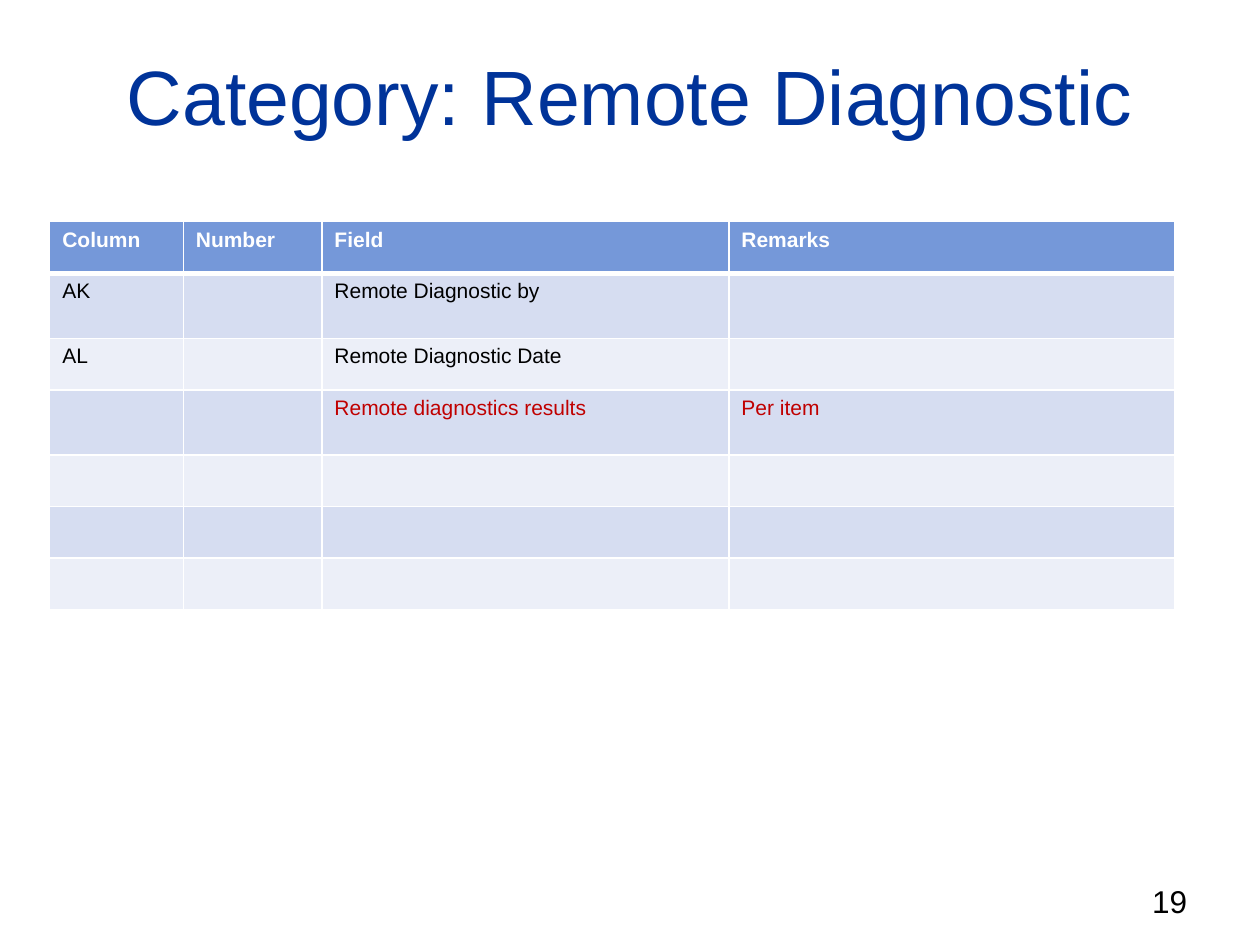
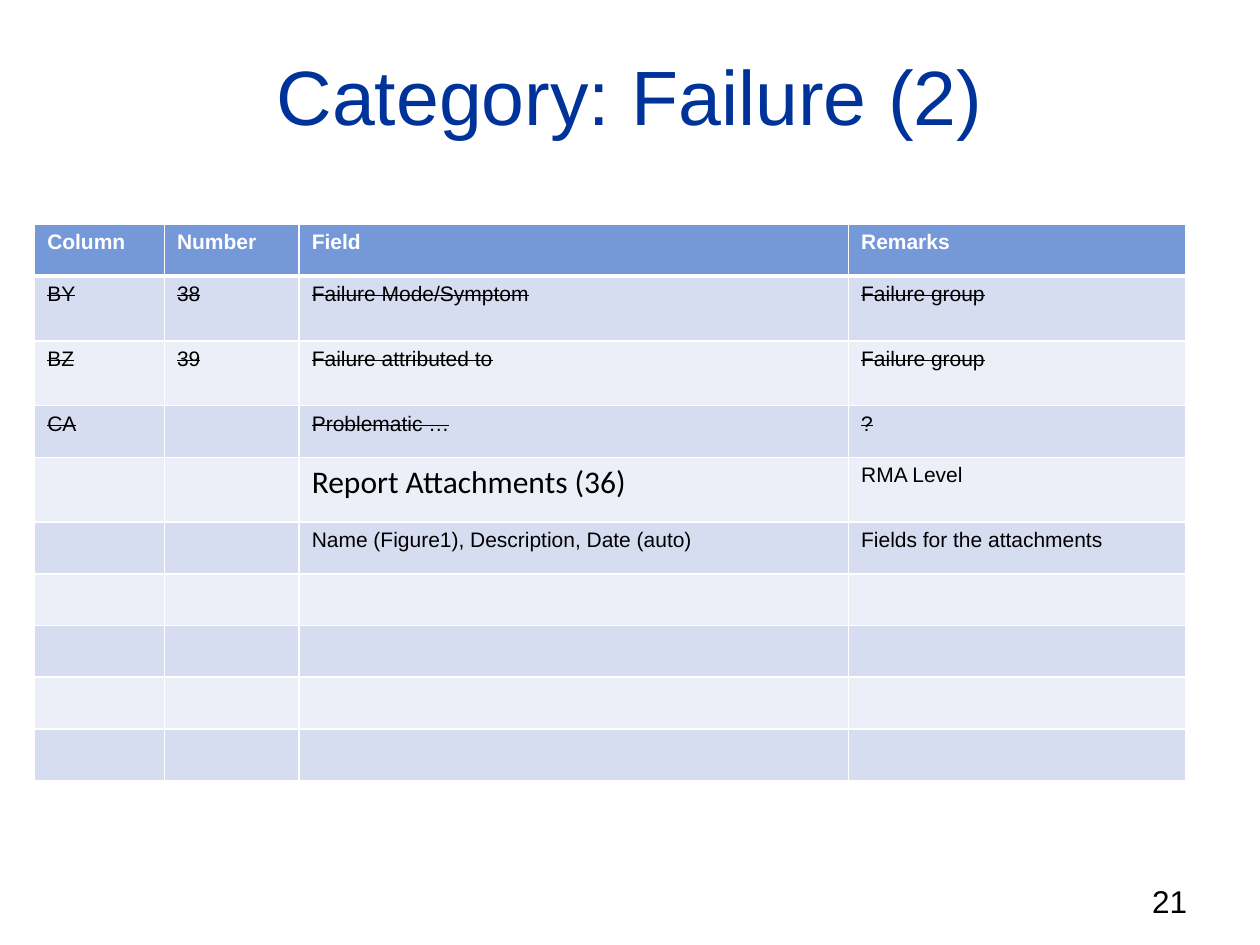
import pptx
import pptx.dml.color
import pptx.enum.text
import pptx.oxml.ns
import pptx.util
import lxml.etree

COLORS = {
    "title": "003399", "text": "000000", "alert": "C00000", "white": "FFFFFF",
    "header": "7598D9", "odd": "D6DDF1", "even": "ECEFF8",
}
FORMATS = {
    "title": {"size": 44, "color": "title"},
    "page": {"size": 18},
    "header": {"bold": True, "color": "white"},
    "body": {},
    "alert": {"color": "alert"},
    "dropped": {"strike": True},
    "heading": {"size": 18, "name": "Calibri"},
}
BASE_FORMAT = {"name": "Arial", "size": 12, "bold": False, "color": "text"}
HEADINGS = ["Column", "Number", "Field", "Remarks"]
EMPTY = [""] * len(HEADINGS)
SHORT, TALL = 4.1, 5.15
ALIGN = pptx.enum.text.PP_ALIGN
ANCHOR = pptx.enum.text.MSO_ANCHOR


def rgb(color):
    """Return the named colour as an RGB value."""
    return pptx.dml.color.RGBColor.from_string(COLORS[color])


class CategoryDeck:
    """Holds the shared style and the current slide on a 100 by 75 grid."""

    def __init__(self):
        """Start an empty 10 by 7.5 inch deck."""
        self.deck = pptx.Presentation()
        self.deck.slide_width = pptx.util.Inches(10)
        self.deck.slide_height = pptx.util.Inches(7.5)
        self.unit = self.deck.slide_width / 100
        self.slide = None

    def grid(self, *lengths):
        """Turn grid columns or rows into slide lengths."""
        return [pptx.util.Emu(round(length * self.unit)) for length in lengths]

    def put_text(self, paragraph, text, style):
        """Put text in a paragraph with one of the named formats."""
        values = BASE_FORMAT | FORMATS[style]
        font = paragraph.font
        if text:
            run = paragraph.add_run()
            run.text = text
            font = run.font
            if values.get("strike"):
                run._r.get_or_add_rPr().set("strike", "sngStrike")
        font.color.rgb = rgb(values["color"])
        settings = {"name": values["name"], "bold": values["bold"],
                    "size": pptx.util.Pt(values["size"])}
        for attribute, value in settings.items():
            setattr(font, attribute, value)

    def label(self, place, text, style, align, anchor):
        """Add a text box on the current slide."""
        frame = self.slide.shapes.add_textbox(*self.grid(*place)).text_frame
        frame.word_wrap = True
        frame.vertical_anchor = anchor
        frame.paragraphs[0].alignment = align
        self.put_text(frame.paragraphs[0], text, style)

    def page(self, title, number):
        """Start a slide with its title and page number."""
        self.slide = self.deck.slides.add_slide(self.deck.slide_layouts[6])
        self.label((5, 2.8, 90, 9.5), title, "title", ALIGN.CENTER, ANCHOR.MIDDLE)
        self.label((71.9, 69.5, 23.3, 4), number, "page", ALIGN.RIGHT, ANCHOR.TOP)

    def borders(self, cell, row):
        """Draw white cell borders, thick under the header."""
        properties = cell._tc.get_or_add_tcPr()
        widths = {"lnL": 1, "lnR": 1, "lnT": 3 if row == 1 else 1, "lnB": 3 if row == 0 else 1}
        for side, points in widths.items():
            line = lxml.etree.SubElement(properties, pptx.oxml.ns.qn(f"a:{side}"),
                                         w=str(pptx.util.Pt(points)))
            fill = lxml.etree.SubElement(line, pptx.oxml.ns.qn("a:solidFill"))
            lxml.etree.SubElement(fill, pptx.oxml.ns.qn("a:srgbClr"), val=COLORS["white"])

    def fields(self, left, top, widths, entries):
        """Add the table of fields; each entry is height, format and texts."""
        rows = [(SHORT, "header", HEADINGS)] + entries
        heights = [height for height, _, _ in rows]
        place = self.grid(left, top, sum(widths), sum(heights))
        table = self.slide.shapes.add_table(len(rows), len(widths), *place).table
        for column, width in zip(table.columns, self.grid(*widths)):
            column.width = width
        for row, height in zip(table.rows, self.grid(*heights)):
            row.height = height
        for index, (_, style, texts) in enumerate(rows):
            band = "header" if index == 0 else "odd" if index % 2 else "even"
            for cell, text in zip(table.rows[index].cells, texts):
                self.borders(cell, index)
                cell.fill.solid()
                cell.fill.fore_color.rgb = rgb(band)
                text, cell_style = text if isinstance(text, tuple) else (text, style)
                self.put_text(cell.text_frame.paragraphs[0], text, cell_style)


def main():
    """Build both category slides."""
    deck = CategoryDeck()

    deck.page("Category: Remote Diagnostic", "19")
    deck.fields(3.95, 17.6, [10.6, 11, 32.3, 35.4], [
        (TALL, "body", ["AK", "", "Remote Diagnostic by", ""]),
        (SHORT, "body", ["AL", "", "Remote Diagnostic Date", ""]),
        (TALL, "alert", ["", "", "Remote diagnostics results", "Per item"]),
    ] + [(SHORT, "body", EMPTY)] * 3)

    deck.page("Category: Failure (2)", "21")
    deck.fields(2.75, 17.8, [10.3, 10.7, 43.6, 26.8], [
        (TALL, "dropped", ["BY", "38", "Failure Mode/Symptom", "Failure group"]),
        (TALL, "dropped", ["BZ", "39", "Failure attributed to", "Failure group"]),
        (SHORT, "dropped", ["CA", "", "Problematic …", "?"]),
        (TALL, "body", ["", "", ("Report Attachments (36)", "heading"), "RMA Level"]),
        (SHORT, "body", ["", "", "Name (Figure1), Description, Date (auto)",
                         "Fields for the attachments"]),
    ] + [(SHORT, "body", EMPTY)] * 4)

    deck.deck.save("out.pptx")


if __name__ == "__main__":
    main()
